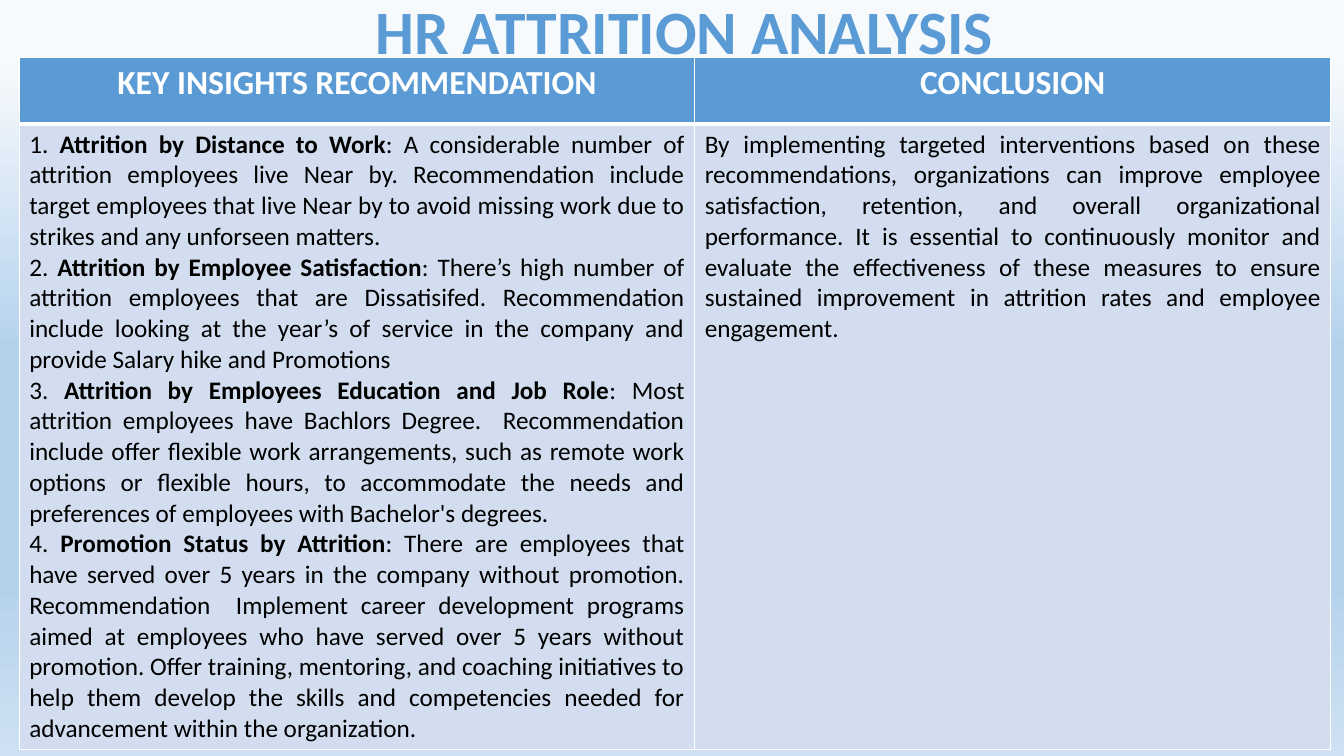
from pptx import Presentation
from pptx.dml.color import RGBColor as Rgb
from pptx.enum.text import MSO_ANCHOR as Anchor, MSO_AUTO_SIZE as Auto, PP_ALIGN as Align
from pptx.oxml import parse_xml
from pptx.oxml.ns import nsdecls
from pptx.util import Inches, Pt

WIDE, HIGH = Inches(13.33), Inches(7.5)
FONT = "Calibri"
HUES = {"head": "5B9BD5", "body": "D2DEEF", "line": "FFFFFF", "text": "000000"}
FADE = [(8, "F7FAFD"), (46, "B5D2EC"), (77, "B5D2EC"), (100, "CEE1F2")]
HEADS = ["KEY INSIGHTS RECOMMENDATION", "CONCLUSION"]
TIPS = [
    ("1. ", "Attrition by Distance to Work",
     ": A considerable number of attrition employees live Near by. Recommendation include "
     "target employees that live Near by to avoid missing work due to strikes and any "
     "unforseen matters."),
    ("2. ", "Attrition by Employee Satisfaction",
     ": There’s high number of attrition employees that are Dissatisifed. Recommendation "
     "include looking at the year’s of service in the company and provide Salary hike and "
     "Promotions"),
    ("3.", " Attrition by Employees Education and Job Role",
     ": Most attrition employees have Bachlors Degree.  Recommendation include offer "
     "flexible work arrangements, such as remote work options or flexible hours, to "
     "accommodate the needs and preferences of employees with Bachelor's degrees."),
    ("4. ", "Promotion Status by Attrition",
     ": There are employees that have served over 5 years in the company without promotion. "
     "Recommendation  Implement career development programs aimed at employees who have "
     "served over 5 years without promotion. Offer training, mentoring, and coaching "
     "initiatives to help them develop the skills and competencies needed for advancement "
     "within the organization."),
]
CLOSE = [(
    "By implementing targeted interventions based on these recommendations, organizations "
    "can improve employee satisfaction, retention, and overall organizational performance. "
    "It is essential to continuously monitor and evaluate the effectiveness of these "
    "measures to ensure sustained improvement in attrition rates and employee engagement.",
)]


def style(run, size, hue, bold):
    font = run.font
    font.name, font.size, font.bold = FONT, Pt(size), bold
    font.color.rgb = Rgb.from_string(hue)


def write(frame, paras, size, hue, align, bold=False):
    for i, parts in enumerate(paras):
        para = frame.add_paragraph() if i else frame.paragraphs[0]
        para.alignment = align
        for j, part in enumerate(parts):
            run = para.add_run()
            run.text = part
            style(run, size, hue, bold or j == 1)


def edge(cell, top, foot):
    props = cell._tc.get_or_add_tcPr()
    for i, (side, wide) in enumerate(zip("LRTB", (1, 1, top, foot))):
        props.insert(i, parse_xml(
            f'<a:ln{side} {nsdecls("a")} w="{Pt(wide)}"><a:solidFill>'
            f'<a:srgbClr val="{HUES["line"]}"/></a:solidFill></a:ln{side}>'))


def paint(slide):
    stops = "".join(f'<a:gs pos="{pos * 1000}"><a:srgbClr val="{hue}"/></a:gs>'
                    for pos, hue in FADE)
    fill = slide.background.fill
    fill.solid()
    props = slide._element.cSld.bg.bgPr
    props.replace(props[0], parse_xml(
        f'<a:gradFill {nsdecls("a")} rotWithShape="1"><a:gsLst>{stops}</a:gsLst>'
        '<a:lin ang="5400000" scaled="1"/></a:gradFill>'))


def title(slide, left, top, width, height):
    shape = slide.shapes.title
    shape.left, shape.top, shape.width, shape.height = left, top, width, height
    frame = shape.text_frame
    frame.text = "HR ATTRITION ANALYSIS"
    frame.auto_size, frame.vertical_anchor = Auto.NONE, Anchor.MIDDLE
    frame.margin_top, frame.margin_bottom = 0, Inches(0.04)
    para = frame.paragraphs[0]
    para.alignment = Align.CENTER
    style(para.runs[0], 44, HUES["head"], True)


def grid(slide, left, top, width, height):
    table = slide.shapes.add_table(2, 2, left, top, width, height).table
    for col, share in zip(table.columns, (0.515, 0.485)):
        col.width = int(width * share)
    table.rows[0].height = Inches(0.66)
    table.rows[1].height = height - Inches(0.66)
    for col, (head, paras) in enumerate(zip(HEADS, (TIPS, CLOSE))):
        cells = [table.cell(row, col) for row in range(2)]
        for cell, hue, rims in zip(cells, ("head", "body"), ((1, 3), (3, 1))):
            cell.fill.solid()
            cell.fill.fore_color.rgb = Rgb.from_string(HUES[hue])
            edge(cell, *rims)
        write(cells[0].text_frame, [(head,)], 24, HUES["line"], Align.CENTER, True)
        write(cells[1].text_frame, paras, 18, HUES["text"], Align.JUSTIFY)


def main():
    deck = Presentation()
    deck.slide_width, deck.slide_height = WIDE, HIGH
    slide = deck.slides.add_slide(deck.slide_layouts[5])
    paint(slide)
    title(slide, Inches(2.81), Inches(-0.17), Inches(7.96), Inches(0.98))
    grid(slide, Inches(0.19), Inches(0.57), Inches(13.01), Inches(6.76))
    deck.save("out.pptx")


if __name__ == "__main__":
    main()
